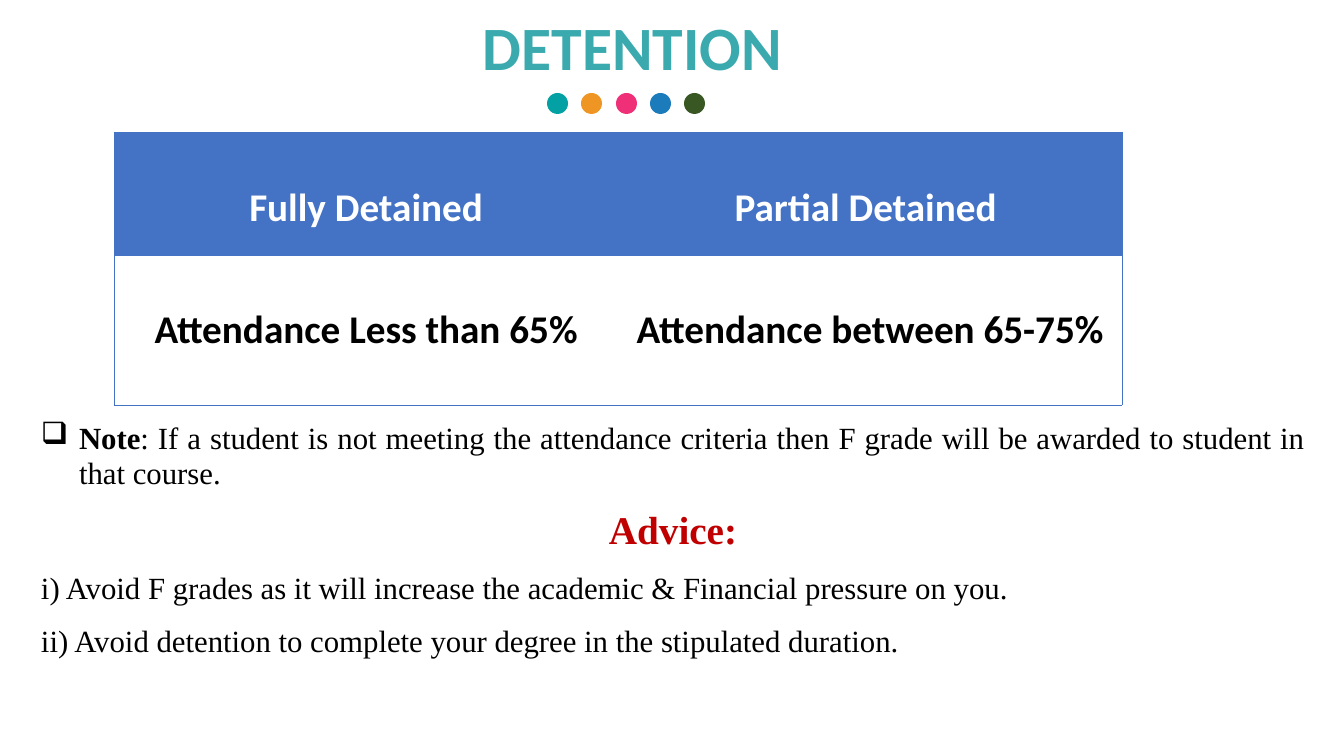
import pptx
import pptx.util
import pptx.dml.color
import pptx.enum.shapes
import pptx.enum.text
import pptx.oxml
import pptx.oxml.ns
from lxml import etree

PX = 914400 / 100.8
ALIGN = pptx.enum.text.PP_ALIGN
COLORS = {
    "title": "3AAAAF", "table": "4472C4", "white": "FFFFFF",
    "black": "000000", "advice": "C00000",
}
DOT_COLORS = ["03A1A4", "EE9524", "EF3078", "1C7CBB", "385723"]


def px(length):
    return pptx.util.Emu(round(length * PX))


def write(paragraph, text, size=22, font="Times New Roman", color="black",
          bold=False, align=ALIGN.JUSTIFY, spacing=None, before=0):
    paragraph.alignment = align
    paragraph.space_before = pptx.util.Pt(before)
    if spacing:
        paragraph.line_spacing = spacing
    run = paragraph.add_run()
    run.text = text
    run.font.size = pptx.util.Pt(size)
    run.font.name = font
    run.font.bold = bold
    run.font.color.rgb = pptx.dml.color.RGBColor.from_string(COLORS[color])


deck = pptx.Presentation()
deck.slide_width, deck.slide_height = px(1344), px(756)
slide = deck.slides.add_slide(deck.slide_layouts[5])

title = slide.shapes.title
title.left, title.top, title.width, title.height = px(0), px(-2), px(1265), px(106)
title.text_frame.vertical_anchor = pptx.enum.text.MSO_ANCHOR.MIDDLE
title.text_frame.auto_size = pptx.enum.text.MSO_AUTO_SIZE.NONE
write(title.text_frame.paragraphs[0], "DETENTION", size=44, font="Calibri",
      color="title", bold=True, align=ALIGN.CENTER, spacing=0.9)

for i, dot_color in enumerate(DOT_COLORS):
    dot = slide.shapes.add_shape(pptx.enum.shapes.MSO_SHAPE.OVAL,
                                 px(547 + round(i * 34.3)), px(93), px(21), px(21))
    dot.shadow.inherit = False
    dot.fill.solid()
    dot.fill.fore_color.rgb = pptx.dml.color.RGBColor.from_string(dot_color)
    dot.line.fill.background()

rows = [
    ("white", ["Fully Detained", "Partial Detained "]),
    ("black", ["Attendance Less than 65%", "Attendance between 65-75%"]),
]
detention = slide.shapes.add_table(2, 2, px(114), px(132), px(1008), px(273)).table
detention.rows[0].height, detention.rows[1].height = px(122), px(151)
for r, (text_color, labels) in enumerate(rows):
    for c, label in enumerate(labels):
        cell = detention.cell(r, c)
        cell.margin_top = px(52)
        write(cell.text_frame.paragraphs[0], label, size=28, font="Calibri",
              color=text_color, bold=True, align=ALIGN.CENTER)
        borders = {
            "lnL": 0.5 if c == 0 else 0,
            "lnR": 0.5 if c == 1 else 0,
            "lnT": 0.5 if r == 0 else 4,
            "lnB": 4 if r == 0 else 0.5,
        }
        properties = cell._tc.get_or_add_tcPr()
        for side, width in borders.items():
            edge = etree.SubElement(properties, pptx.oxml.ns.qn(f"a:{side}"),
                                    w=str(pptx.util.Pt(width)))
            if width:
                paint = etree.SubElement(edge, pptx.oxml.ns.qn("a:solidFill"))
                etree.SubElement(paint, pptx.oxml.ns.qn("a:srgbClr"), val=COLORS["table"])
            else:
                etree.SubElement(edge, pptx.oxml.ns.qn("a:noFill"))
        if r == 0:
            cell.fill.solid()
            cell.fill.fore_color.rgb = pptx.dml.color.RGBColor.from_string(COLORS["table"])
        else:
            cell.fill.background()

guidance = slide.shapes.add_textbox(px(41), px(421), px(1264), px(240)).text_frame
guidance.word_wrap = True
guidance.margin_left = guidance.margin_right = 0
guidance.margin_top = guidance.margin_bottom = 0

note = guidance.paragraphs[0]
note_properties = note._p.get_or_add_pPr()
note_properties.set("marL", str(px(38)))
note_properties.set("indent", str(px(-38)))
etree.SubElement(note_properties, pptx.oxml.ns.qn("a:buChar"), char="❑")
write(note, "Note", bold=True, spacing=0.95)
write(note, ": If a student is not meeting the attendance criteria then F grade "
      "will be awarded to student in that course.", spacing=0.95)

write(guidance.add_paragraph(), "Advice:", size=28, color="advice", bold=True,
      align=ALIGN.CENTER, spacing=0.9, before=14)
for advice in [
    "i) Avoid F grades as it will increase the academic & Financial pressure on you.",
    "ii) Avoid detention to complete your degree in the stipulated duration.",
]:
    write(guidance.add_paragraph(), advice, spacing=0.9, before=14)

deck.save("out.pptx")
